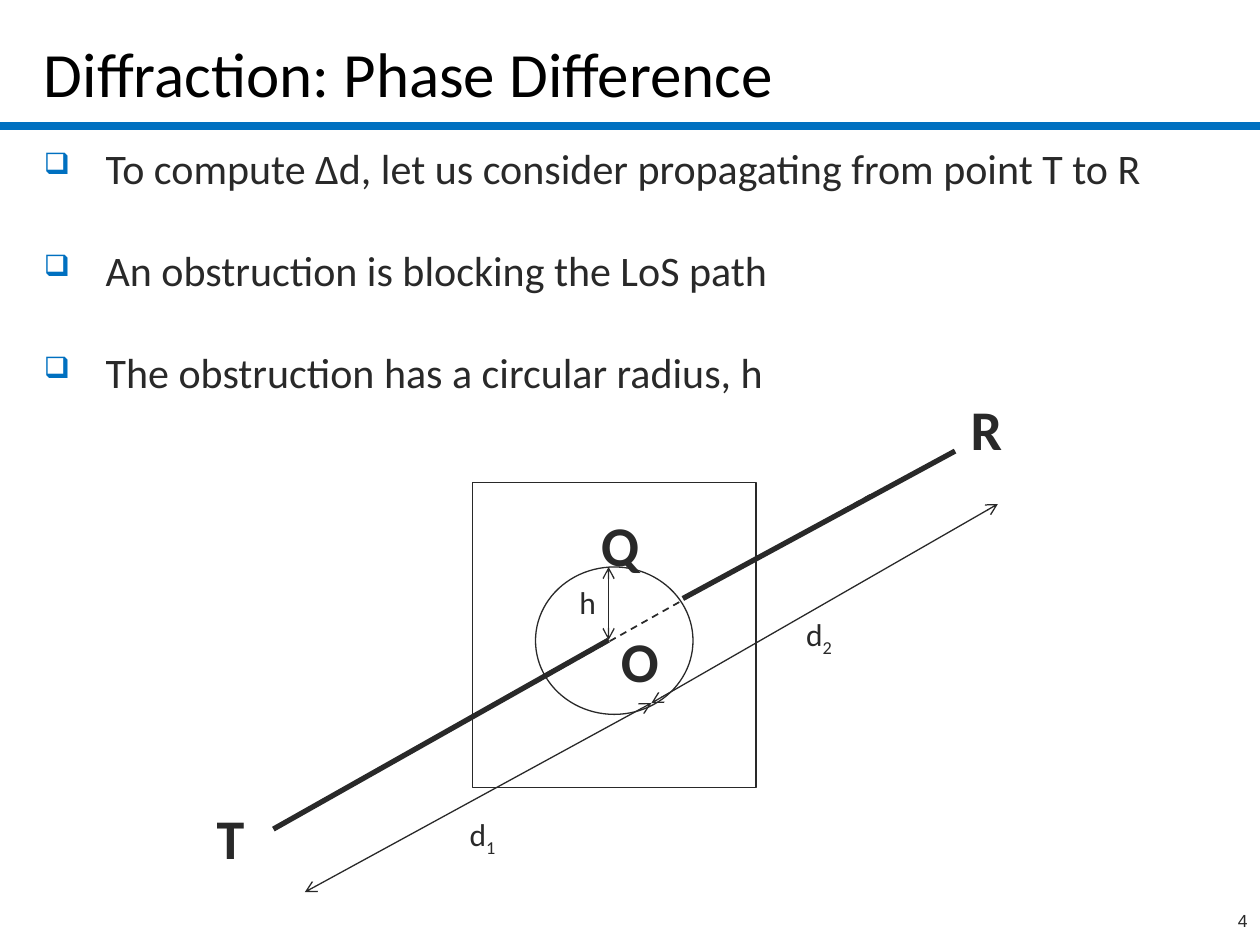
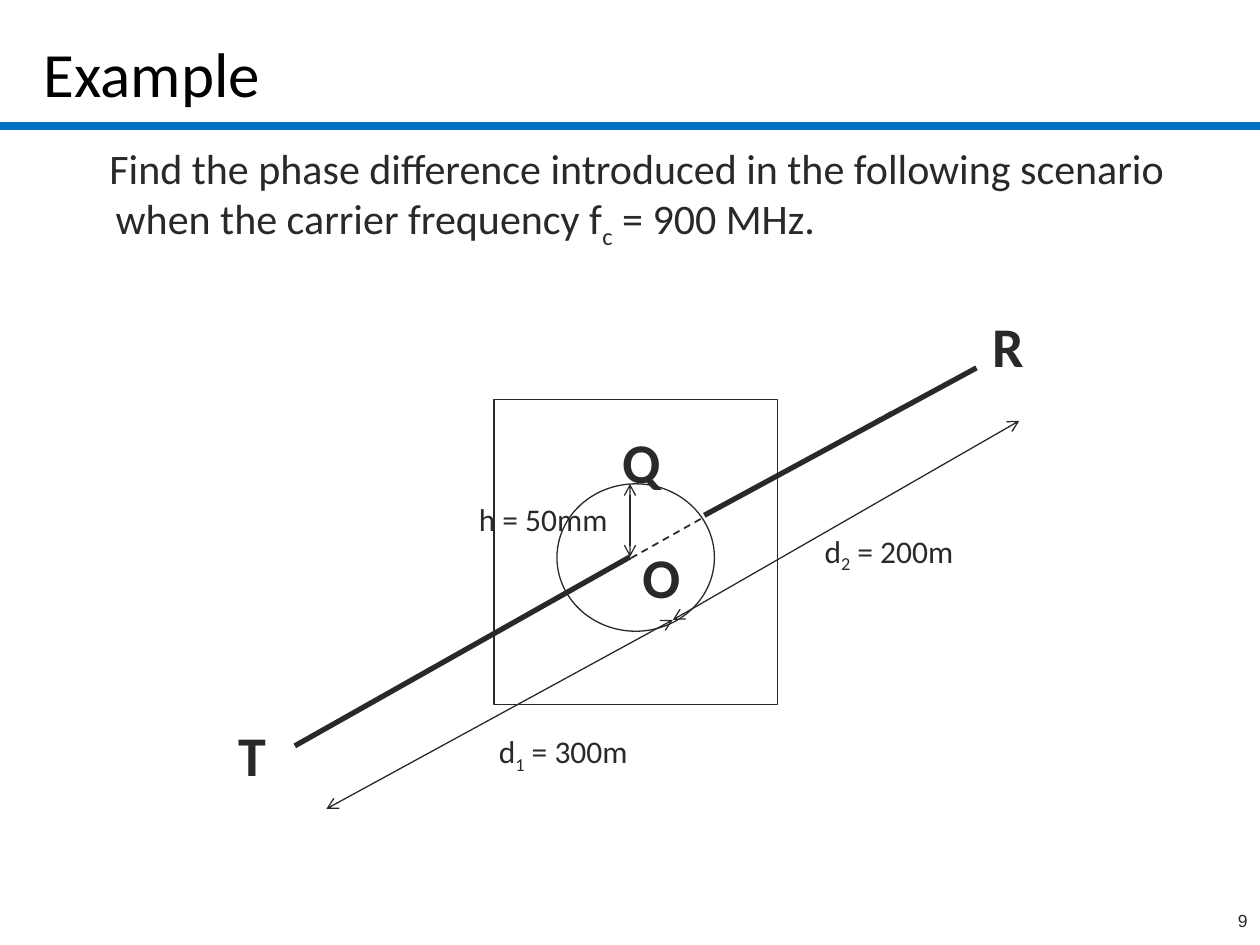
from lxml import etree
from pptx import Presentation
from pptx.dml.color import RGBColor
from pptx.enum import dml, shapes, text
from pptx.oxml import ns
from pptx.util import Inches, Pt

INK = "292929"
BLACK = "000000"
BLUE = "0070C0"
BODY_FONT = "Calibri"
LEFT, CENTER, RIGHT = text.PP_ALIGN.LEFT, text.PP_ALIGN.CENTER, text.PP_ALIGN.RIGHT


def rgb(value):
    return RGBColor.from_string(value)


def add_child(parent, tag, **attributes):
    return etree.SubElement(parent, ns.qn(tag), **attributes)


def write(paragraph, segments, size, color=INK, font=BODY_FONT, bold=False, align=LEFT):
    paragraph.alignment = align
    paragraph.font.name = font
    paragraph.font.size = Pt(size)
    paragraph.font.bold = bold
    paragraph.font.color.rgb = rgb(color)
    for index, segment in enumerate(segments):
        run = paragraph.add_run()
        run.text = segment
        if index % 2:
            run._r.get_or_add_rPr().set("baseline", "-25000")


def add_text_frame(parent, box, anchor=text.MSO_ANCHOR.TOP):
    frame = parent.add_textbox(*map(Inches, box)).text_frame
    frame.word_wrap = True
    frame.vertical_anchor = anchor
    return frame


def add_label(parent, box, segments, size, **style):
    write(add_text_frame(parent, box).paragraphs[0], segments, size, **style)


def add_line(parent, start, end, width, color=INK, dashed=False, arrows=False):
    line = parent.add_connector(shapes.MSO_CONNECTOR.STRAIGHT, *map(Inches, (*start, *end)))
    line.line.color.rgb = rgb(color)
    line.line.width = Pt(width)
    if dashed:
        line.line.dash_style = dml.MSO_LINE.DASH
    if arrows:
        outline = line.line._get_or_add_ln()
        add_child(outline, "a:headEnd", type="arrow")
        add_child(outline, "a:tailEnd", type="arrow")
    add_child(line._element.spPr, "a:effectLst")


def add_outline(parent, preset, box):
    shape = parent.add_shape(preset, *map(Inches, box))
    shape.shadow.inherit = False
    shape.fill.background()
    shape.line.color.rgb = rgb(INK)
    shape.line.width = Pt(0.75)


def add_frame(slide, title, number):
    add_line(slide.shapes, (0, 1), (10, 1), 5, color=BLUE)
    heading = add_text_frame(slide.shapes, (0.25, 0.11, 9.5, 0.81), text.MSO_ANCHOR.BOTTOM)
    write(heading.paragraphs[0], [title], 36, color=BLACK)
    add_label(slide.shapes, (7.92, 7.17, 2.08, 0.33), [number], 10, font="Arial", align=RIGHT)


def set_indent(paragraph, margin, first_line):
    properties = paragraph._p.get_or_add_pPr()
    properties.set("marL", str(Inches(margin)))
    properties.set("indent", str(Inches(first_line)))
    return properties


def add_bullets(slide, box, items):
    frame = add_text_frame(slide.shapes, box)
    for index, item in enumerate(items):
        paragraph = frame.add_paragraph() if index else frame.paragraphs[0]
        properties = set_indent(paragraph, 0.49, -0.49)
        add_child(add_child(properties, "a:buClr"), "a:srgbClr", val=BLUE)
        add_child(properties, "a:buSzPct", val="70000")
        add_child(properties, "a:buChar", char="❑")
        paragraph.space_before = Pt(29.5 if index else 0)
        write(paragraph, [item], 24)


def add_question(slide, box, segments):
    paragraph = add_text_frame(slide.shapes, box).paragraphs[0]
    set_indent(paragraph, 0.49, -0.05)
    write(paragraph, segments, 24)


def add_diffraction_diagram(slide, left, top, measures):
    def at(x, y, *size):
        return (left + x, top + y, *size)

    group = slide.shapes.add_group_shape().shapes
    center, midpoint = at(3.25, 2), at(3.59, 2.5)
    add_line(group, at(0.59, 3.5), center, 3)
    add_outline(group, shapes.MSO_SHAPE.RECTANGLE, at(2.17, 0.75, 2.25, 2.42))
    add_outline(group, shapes.MSO_SHAPE.OVAL, at(2.67, 1.42, 1.25, 1.17))
    add_line(group, at(3.84, 1.67), at(6, 0.5), 3)
    add_line(group, at(2.67, 2.34), at(5.34, 0.84), 1, dashed=True)
    for start, end in [(midpoint, at(0.84, 4)), (at(6.34, 0.92), midpoint), (at(3.25, 1.42), center)]:
        add_line(group, start, end, 0.75, arrows=True)
    for segments, x, y, width, align in measures:
        add_label(group, at(x, y, width, 0.4), segments, 18, align=align)
    for name, x, y, width in [("T", 0, 3.25, 0.5), ("R", 6, 0, 0.5), ("Q", 3.09, 0.92, 0.5), ("O", 3.25, 1.84, 0.33)]:
        add_label(group, at(x, y, width, 0.64), [name], 32, bold=True, align=CENTER)


def build_phase_difference(slide):
    add_frame(slide, "Diffraction: Phase Difference", "4")
    add_bullets(slide, (0.25, 1.08, 9.5, 2.2), [
        "To compute ∆d, let us consider propagating from point T to R",
        "An obstruction is blocking the LoS path",
        "The obstruction has a circular radius, h",
    ])
    add_diffraction_diagram(slide, 1.58, 3.08, [
        (["d", "1"], 2, 3.34, 0.5, CENTER),
        (["d", "2"], 4.67, 1.75, 0.5, CENTER),
        (["h"], 2.92, 1.5, 0.33, CENTER),
    ])


def build_example(slide):
    add_frame(slide, "Example", "9")
    add_question(slide, (0.33, 1.08, 9.42, 1.08), [
        "Find the phase difference introduced in the following scenario when the carrier frequency f",
        "c",
        " = 900 MHz.",
    ])
    add_diffraction_diagram(slide, 1.75, 2.42, [
        (["d", "1", " = 300m"], 1.97, 3.34, 1.5, CENTER),
        (["d", "2", " = 200m"], 4.64, 1.75, 1.33, CENTER),
        (["h = 50mm"], 1.92, 1.5, 1.25, RIGHT),
    ])


def main():
    presentation = Presentation()
    presentation.slide_width = Inches(10)
    presentation.slide_height = Inches(7.5)
    for build in (build_phase_difference, build_example):
        build(presentation.slides.add_slide(presentation.slide_layouts[6]))
    presentation.save("out.pptx")


if __name__ == "__main__":
    main()
